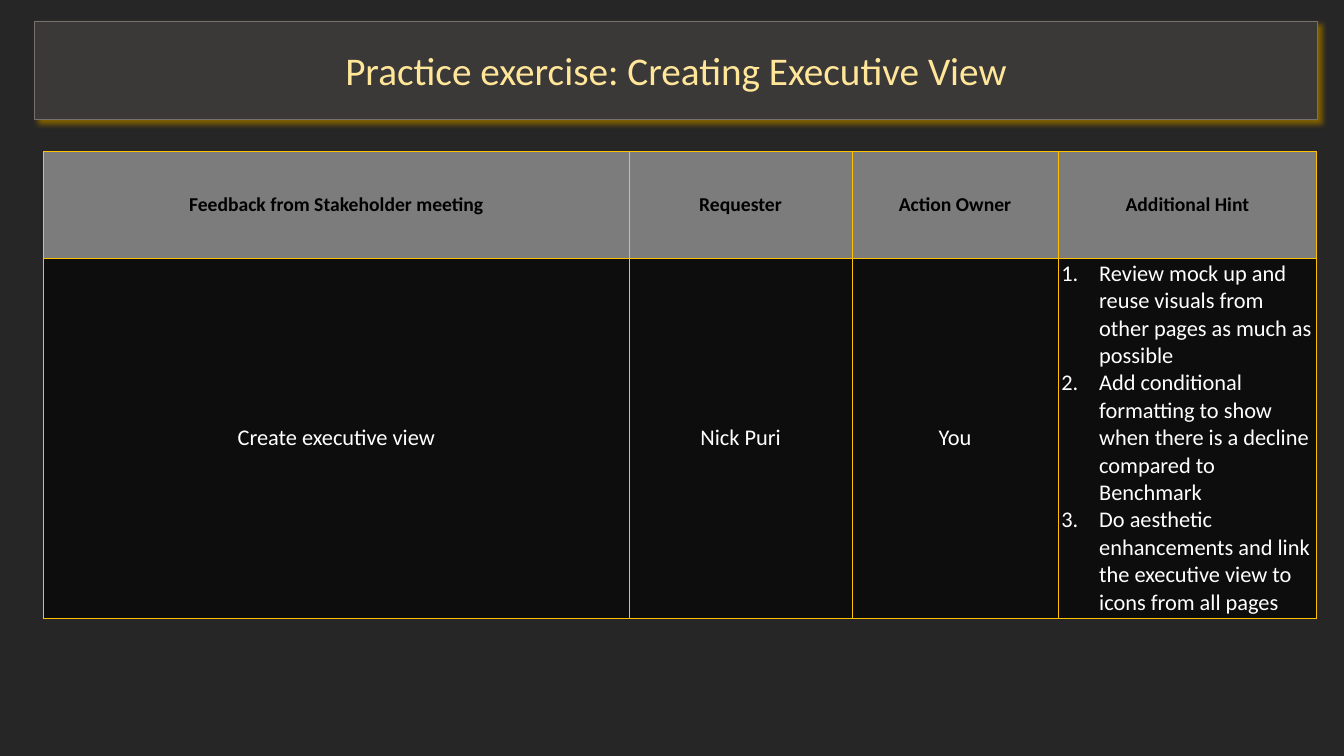
from lxml.etree import SubElement
from pptx import Presentation
from pptx.dml.color import RGBColor
from pptx.enum.text import MSO_ANCHOR, MSO_AUTO_SIZE, PP_ALIGN
from pptx.oxml import parse_xml
from pptx.oxml.ns import nsdecls, qn
from pptx.util import Pt

# Content
TITLE = "Practice exercise: Creating Executive View"
HEADERS = ["Feedback from Stakeholder meeting", "Requester", "Action Owner", "Additional Hint"]
HINTS = [
    "Review mock up and reuse visuals from other pages as much as possible",
    "Add conditional formatting to show when there is a decline compared to Benchmark",
    "Do aesthetic enhancements and link the executive view to icons from all pages",
]
TASK = ["Create executive view", "Nick Puri", "You", HINTS]

# Formats, lengths in points
COLORS = {"background": "262626", "panel": "3B3838", "outline": "767171", "glow": "806000",
          "title": "FFE699", "header": "7C7C7C", "body": "0D0D0D", "border": "FFC000",
          "black": "000000", "white": "FFFFFF"}
TITLE_BOX = (24.5, 15, 916.5, 70.5)
TABLE_AT = (31, 108)
COL_WIDTHS = [418.5, 159, 147.5, 184.5]
ROW_HEIGHTS = [76.3, 214.5]
HINT_INDENT = 27
TITLE_FONT = {"name": "Calibri", "size": Pt(28), "bold": False}
HEADER_FONT = {"name": "Calibri", "size": Pt(14), "bold": True}
BODY_FONT = {"name": "Calibri", "size": Pt(16), "bold": False}
CELL_FORMAT = {"vertical_anchor": MSO_ANCHOR.MIDDLE, "margin_left": Pt(2.2),
               "margin_right": Pt(2.2), "margin_top": Pt(1.5), "margin_bottom": Pt(1.5)}
ROWS = [(HEADERS, HEADER_FONT, "black", "header"), (TASK, BODY_FONT, "white", "body")]


def rgb(name):
    return RGBColor.from_string(COLORS[name])


def apply(target, values):
    for name, value in values.items():
        setattr(target, name, value)


def write(p, text, font, color, align):
    r = p.add_run()
    r.text = text
    apply(r.font, font)
    r.font.color.rgb = rgb(color)
    p.alignment = align


def number(p):
    pPr = p._p.get_or_add_pPr()
    pPr.set("marL", str(Pt(HINT_INDENT)))
    pPr.set("indent", str(-Pt(HINT_INDENT)))
    SubElement(pPr, qn("a:buFont"), typeface="+mj-lt")
    SubElement(pPr, qn("a:buAutoNum"), type="arabicPeriod")


def add_borders(cell):
    tcPr = cell._tc.get_or_add_tcPr()
    for i, side in enumerate("LRTB"):
        tcPr.insert(i, parse_xml(
            f'<a:ln{side} {nsdecls("a")} w="{Pt(0.5)}"><a:solidFill>'
            f'<a:srgbClr val="{COLORS["border"]}"/></a:solidFill></a:ln{side}>'))


prs = Presentation()
prs.slide_width, prs.slide_height = Pt(960), Pt(540)
s = prs.slides.add_slide(prs.slide_layouts[5])
s.background.fill.solid()
s.background.fill.fore_color.rgb = rgb("background")

# Title panel: rounded, with a golden shadow
title = s.shapes.title
apply(title, dict(zip(("left", "top", "width", "height"), map(Pt, TITLE_BOX))))
spPr = title._element.spPr
spPr.insert(1, parse_xml(f'<a:prstGeom {nsdecls("a")} prst="roundRect"><a:avLst/></a:prstGeom>'))
title.fill.solid()
title.fill.fore_color.rgb = rgb("panel")
title.line.color.rgb = rgb("outline")
title.line.width = Pt(0.25)
spPr.append(parse_xml(
    f'<a:effectLst {nsdecls("a")}><a:outerShdw blurRad="{Pt(4)}" dist="{Pt(3)}" dir="2700000" '
    f'algn="tl" rotWithShape="0"><a:srgbClr val="{COLORS["glow"]}"/></a:outerShdw></a:effectLst>'))
tf = title.text_frame
apply(tf, {"word_wrap": True, "auto_size": MSO_AUTO_SIZE.NONE, "vertical_anchor": MSO_ANCHOR.MIDDLE})
write(tf.paragraphs[0], TITLE, TITLE_FONT, "title", PP_ALIGN.CENTER)

# Feedback table
table = s.shapes.add_table(len(ROWS), len(HEADERS), *map(Pt, TABLE_AT),
                           Pt(sum(COL_WIDTHS)), Pt(sum(ROW_HEIGHTS))).table
table.horz_banding = False
for col, width in zip(table.columns, COL_WIDTHS):
    col.width = Pt(width)
for row, height, (texts, font, color, fill) in zip(table.rows, ROW_HEIGHTS, ROWS):
    row.height = Pt(height)
    for cell, text in zip(row.cells, texts):
        apply(cell, CELL_FORMAT)
        cell.fill.solid()
        cell.fill.fore_color.rgb = rgb(fill)
        add_borders(cell)
        tf = cell.text_frame
        if isinstance(text, str):
            write(tf.paragraphs[0], text, font, color, PP_ALIGN.CENTER)
            continue
        for i, hint in enumerate(text):
            p = tf.add_paragraph() if i else tf.paragraphs[0]
            write(p, hint, font, color, PP_ALIGN.LEFT)
            number(p)

prs.save("out.pptx")
